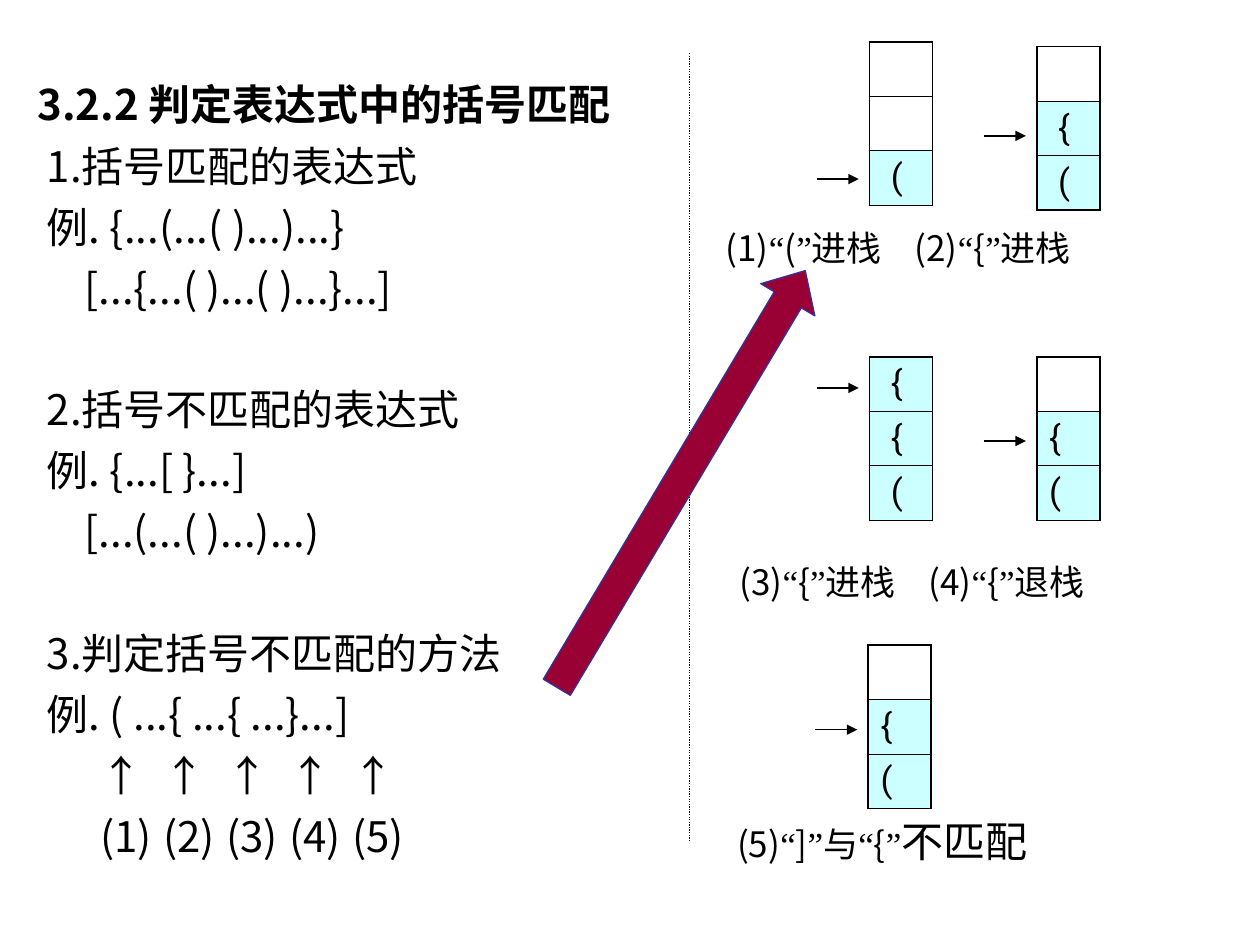
from itertools import groupby
from pptx import Presentation, util as u
from pptx.dml.color import RGBColor
from pptx.enum import dml, shapes, text
from pptx.oxml.ns import qn
from lxml import etree

Cm, Pt = u.Cm, u.Pt
BLACK = RGBColor(0, 0, 0)
WHITE = RGBColor(255, 255, 255)
CYAN = RGBColor(0xCC, 0xFF, 0xFF)
WINE = RGBColor(0x99, 0x00, 0x33)
NAVY = RGBColor(0x33, 0x33, 0x99)
SANS, SERIF, CODE = "Noto Sans CJK SC", "Times New Roman", "Roboto"

TITLE = "3.2.2 判定表达式中的括号匹配"
NEAR, FAR = 0.19, 0.95
STOPS = [0.76, 2.17, 3.58, 4.82, 6.05]
BODY = [
    ("1.括号匹配的表达式", NEAR, 0),
    ("例. {...(...( )...)...}", NEAR, 6),
    ("[...{...( )...( )...}...]", FAR, 6),
    ("2.括号不匹配的表达式", NEAR, 40.8),
    ("例. {...[ }...]", NEAR, 6),
    ("[...(...( )...)...)", FAR, 6),
    ("3.判定括号不匹配的方法", NEAR, 40.8),
    ("例. ( ...{ ...{ ...}...]", NEAR, 6),
    ("\t↑\t↑\t↑\t↑\t↑", 0, 6),
    ("\t(1)\t(2)\t(3)\t(4)\t(5)", 0, 6),
]
STACKS = [
    (17.53, 0.84, ["", "", "("], 0.43, 3.61),
    (20.9, 0.94, ["", "{", "("], 0.43, 2.74),
    (17.53, 7.19, ["{", "{", "("], 0.43, 7.82),
    (20.9, 7.19, ["", "{", "("], 0.25, 8.89),
    (17.5, 13, ["", "{", "("], 0.25, 14.71),
]
NOTES = [
    (14.38, 4.45, 10.2, 24, [("(1)“(”进栈\t(2)“{”进栈", 20)]),
    (14.66, 11.18, 10.4, 24, [("(3)“{”进栈\t(4)“{”退栈", 20)]),
    (14.61, 16.31, 8.5, 28.8, [("(5)“]”与“{”", 20), ("不匹配", 24)]),
]
WIDE, TALL = 1.27, 1.1


def style(run, size, face, bold=False):
    font = run.font
    font.size, font.bold = Pt(size), bold
    font.color.rgb = BLACK
    font.name = face
    etree.SubElement(run._r.get_or_add_rPr(), qn("a:ea"), typeface=face)


def place(box, left, top, width, height):
    box.left, box.top = Cm(left), Cm(top)
    box.width, box.height = Cm(width), Cm(height)
    frame = box.text_frame
    frame.word_wrap = True
    frame.auto_size = text.MSO_AUTO_SIZE.NONE
    frame.vertical_anchor = text.MSO_ANCHOR.TOP
    return frame


def layout(para, pitch, stops=(), left=0):
    props = para._p.get_or_add_pPr()
    props.set("marL", str(Cm(left)))
    props.set("indent", "0")
    etree.SubElement(props, qn("a:buNone"))
    if stops:
        tabs = etree.SubElement(props, qn("a:tabLst"))
        for stop in stops:
            etree.SubElement(tabs, qn("a:tab"), pos=str(Cm(stop)), algn="l")
    para.alignment = text.PP_ALIGN.LEFT
    para.line_spacing = Pt(pitch)


def edge(cell, side, width):
    line = etree.SubElement(cell._tc.get_or_add_tcPr(), qn("a:" + side), w=str(Pt(width)))
    fill = etree.SubElement(line, qn("a:solidFill"))
    etree.SubElement(fill, qn("a:srgbClr"), val=str(BLACK))


def link(slide, start, end, head=False):
    line = slide.shapes.add_connector(shapes.MSO_CONNECTOR.STRAIGHT, *map(Cm, start + end))
    line.line.color.rgb = BLACK
    line.line.width = Pt(0.75)
    if head:
        etree.SubElement(line.line._get_or_add_ln(), qn("a:tailEnd"), type="triangle")
    else:
        line.line.dash_style = dml.MSO_LINE.ROUND_DOT
    etree.SubElement(line._element.spPr, qn("a:effectLst"))


def stack(slide, left, top, marks, pad, mid):
    count = len(marks)
    grid = slide.shapes.add_table(count, 1, Cm(left), Cm(top), Cm(WIDE), Cm(TALL * count)).table
    grid.first_row = grid.horz_banding = False
    for i, mark in enumerate(marks):
        grid.rows[i].height = Cm(TALL)
        cell = grid.cell(i, 0)
        cell.margin_left = Cm(pad)
        for side in ("lnL", "lnR"):
            edge(cell, side, 1.08)
        edge(cell, "lnT", 1.08 if i == 0 else 0.45)
        edge(cell, "lnB", 1.08 if i == count - 1 else 0.45)
        cell.fill.solid()
        cell.fill.fore_color.rgb = CYAN if mark else WHITE
        if mark:
            cell.text_frame.text = mark
            style(cell.text_frame.paragraphs[0].runs[0], 20, CODE)
    link(slide, (left - 1.07, mid), (left - 0.22, mid), True)


def note(slide, left, top, width, pitch, parts):
    frame = place(slide.shapes.add_textbox(0, 0, 0, 0), left, top, width, 1.2)
    frame.margin_right = 0
    para = frame.paragraphs[0]
    layout(para, pitch, [5.08])
    for words, size in parts:
        for quote, chars in groupby(words, lambda c: c in "“”"):
            run = para.add_run()
            run.text = "".join(chars)
            style(run, size, SERIF if quote else SANS)


def main():
    deck = Presentation()
    deck.slide_width, deck.slide_height = Cm(25.4), Cm(19.05)
    slide = deck.slides.add_slide(deck.slide_layouts[1])

    head = place(slide.shapes.title, 0.5, 1.45, 13.77, 1.2)
    head.text = TITLE
    layout(head.paragraphs[0], 28.8)
    style(head.paragraphs[0].runs[0], 24, SANS, True)

    body = place(slide.placeholders[1], 0.5, 2.7, 13.77, 15.4)
    for i, (words, left, gap) in enumerate(BODY):
        para = body.paragraphs[0] if i == 0 else body.add_paragraph()
        para.text = words
        shift = 0.19 if "↑" in words else 0
        stops = [s + shift for s in STOPS] if "\t" in words else ()
        layout(para, 28.8, stops, left)
        para.space_before = Pt(gap)
        style(para.runs[0], 24, SANS)

    for item in STACKS:
        stack(slide, *item)
    for item in NOTES:
        note(slide, *item)
    link(slide, (13.9, 1.07), (13.9, 16.94))

    arrow = slide.shapes.add_shape(
        shapes.MSO_SHAPE.RIGHT_ARROW, Cm(8.84), Cm(9.02), Cm(9.78), Cm(1.27))
    arrow.adjustments[1] = 0.54
    arrow.rotation = 300.8
    arrow.shadow.inherit = False
    arrow.fill.solid()
    arrow.fill.fore_color.rgb = WINE
    arrow.line.color.rgb = NAVY
    arrow.line.width = Pt(0.75)

    deck.save("out.pptx")


if __name__ == "__main__":
    main()
